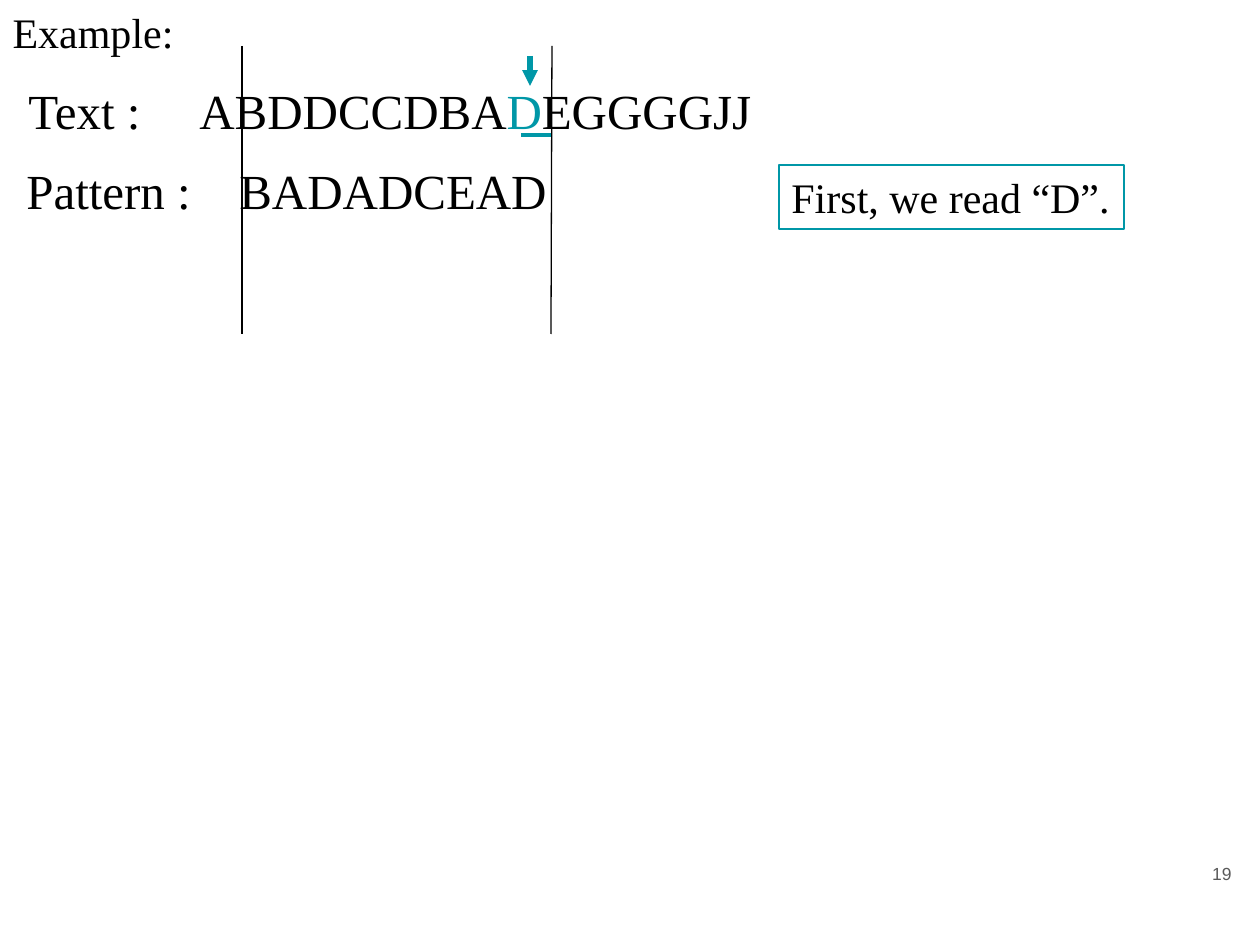
from lxml import etree
from pptx import Presentation
from pptx.dml.color import RGBColor
from pptx.enum.shapes import MSO_CONNECTOR
from pptx.enum.text import MSO_ANCHOR, MSO_AUTO_SIZE, PP_ALIGN
from pptx.oxml.ns import qn
from pptx.util import Pt

LEFT, RIGHT = PP_ALIGN.LEFT, PP_ALIGN.RIGHT
TOP, FIXED = MSO_ANCHOR.TOP, MSO_AUTO_SIZE.NONE
STRAIGHT = MSO_CONNECTOR.STRAIGHT
PX = 914400 / 126
BLACK, TEAL, GRAY = "000000", "0097A7", "595959"
SERIF, SANS = "Times New Roman", "Arial"

deck = Presentation()
deck.slide_width, deck.slide_height = round(1260 * PX), round(945 * PX)
slide = deck.slides.add_slide(deck.slide_layouts[5])


def color(code):
    return RGBColor.from_string(code)


def write(text, at, size=28, font=SERIF, ink=BLACK, align=LEFT, tab=None, box=None):
    """Put text, or a list of (text, color) runs, in a box."""
    place = [round(n * PX) for n in at]
    box = box or slide.shapes.add_textbox(*place)
    box.left, box.top, box.width, box.height = place
    frame = box.text_frame
    frame.word_wrap, frame.auto_size, frame.vertical_anchor = True, FIXED, TOP
    para = frame.paragraphs[0]
    para.alignment = align
    if tab:
        stops = etree.SubElement(para._p.get_or_add_pPr(), qn("a:tabLst"))
        etree.SubElement(stops, qn("a:tab"), pos=str(round(tab * PX)), algn="l")
    for part, tint in [(text, ink)] if isinstance(text, str) else text:
        run = para.add_run()
        run.text = part
        run.font.size, run.font.name = Pt(size), font
        run.font.color.rgb = color(tint)
    return box


# Title and page number
write("Example:", (0, 0, 272, 63), size=24, box=slide.shapes.title)
write("19", (1168, 857, 76, 72), size=10, font=SANS, ink=GRAY, align=RIGHT)

# Text and pattern, lined up by tab stops
write([("Text :\tABDDCCDBA", BLACK), ("D", TEAL), ("EGGGGJJ", BLACK)],
      (16, 74, 755, 72), tab=171)
write("Pattern :\tBADADCEAD", (14, 154, 555, 72), tab=213)

# Note
note = write("First, we read “D”.", (779, 165, 345, 64), size=24)
note.line.color.rgb, note.line.width = color(TEAL), Pt(0.75)

# Window edges, arrow at the letter read, and its underline
for ends, ink, width, head in [
    ((242, 46, 242, 334), BLACK, 0.75, False),
    ((552, 46, 551, 334), BLACK, 0.75, False),
    ((530, 56, 530, 86), TEAL, 3, True),
    ((521, 135, 551, 135), TEAL, 2.25, False),
]:
    line = slide.shapes.add_connector(STRAIGHT, *[round(n * PX) for n in ends])
    line.line.color.rgb, line.line.width = color(ink), Pt(width)
    if head:
        etree.SubElement(line.line._get_or_add_ln(), qn("a:tailEnd"), type="triangle")
    etree.SubElement(line._element.spPr, qn("a:effectLst"))

deck.save("out.pptx")
